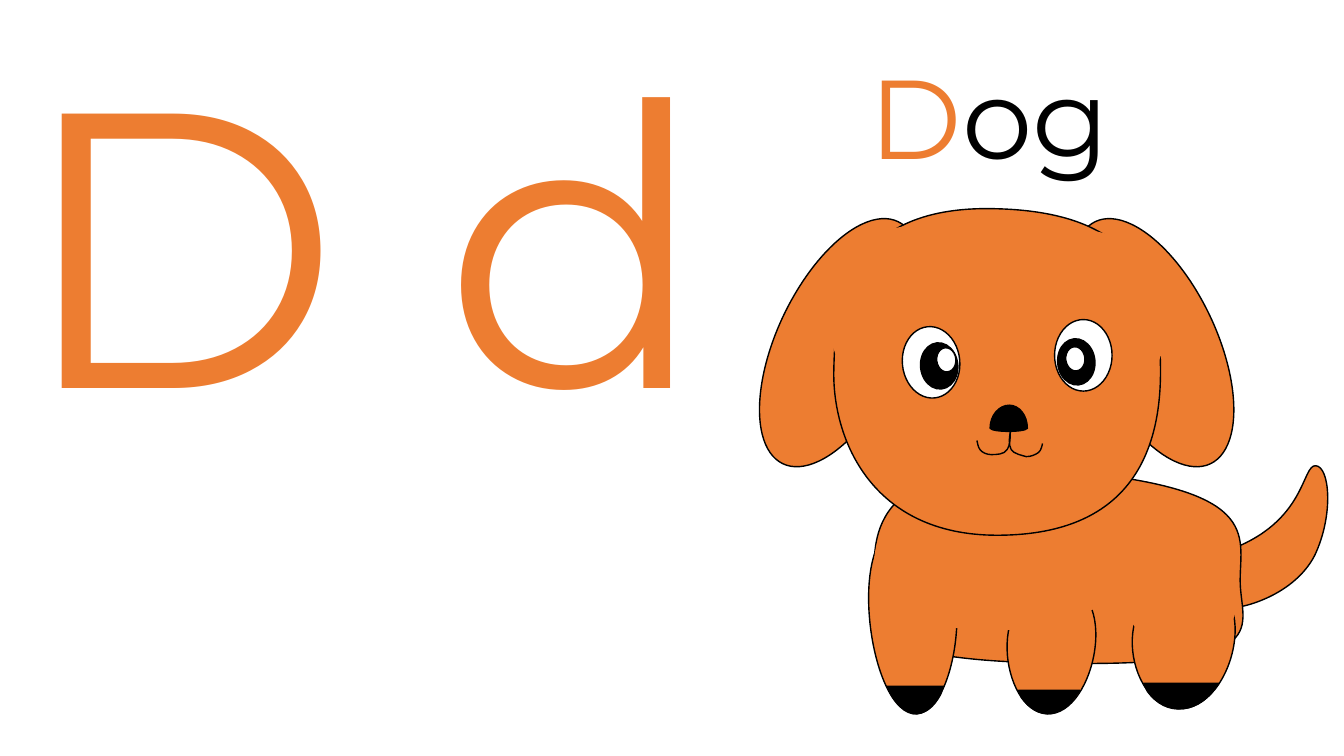
from dataclasses import dataclass

import pptx
import pptx.dml.color
import pptx.enum.shapes
import pptx.enum.text
import pptx.oxml
import pptx.oxml.ns
import pptx.util

PX = 9144
EXTENT_STEPS = 24


@dataclass(frozen=True)
class Theme:
    orange: str = "ED7D31"
    black: str = "000000"
    white: str = "FFFFFF"
    font: str = "Montserrat"
    letter_size: int = 280
    word_size: int = 80
    outline: int = 1


THEME = Theme()

TAIL = [(1218, 546), (1296, 518, 1291, 461, 1305, 462), (1319, 463, 1323, 511, 1304, 551),
        (1284, 590, 1233, 604, 1219, 603), (1205, 602, 1140, 573, 1218, 546)]
TORSO = [(867, 576), (868, 544, 852, 449, 1052, 467), (1253, 484, 1230, 530, 1230, 576),
         (1230, 622, 1270, 662, 1048, 658), (827, 655, 866, 608, 867, 576)]
HIND_LEG = [(1174, 703), (1119, 709, 1094, 586, 1174, 576), (1254, 566, 1229, 697, 1174, 703)]
MIDDLE_LEG = [(1043, 708), (995, 714, 974, 590, 1043, 581), (1112, 571, 1090, 702, 1043, 708)]
FRONT_LEG = [(905, 708), (953, 716, 974, 535, 905, 521), (837, 507, 858, 699, 905, 708)]
BELLY = [(1124, 563), (1142, 484, 899, 426, 870, 541), (841, 656, 1105, 642, 1124, 563)]
FACE = [(827, 369), (828, 303, 839, 205, 983, 207), (1126, 209, 1151, 279, 1151, 369),
        (1151, 458, 1113, 531, 989, 531), (864, 531, 826, 435, 827, 369)]
LEFT_BROW = [(964, 322), (991, 240, 872, 170, 832, 289), (791, 407, 937, 404, 964, 322)]
RIGHT_BROW = [(1015, 326), (988, 245, 1107, 174, 1147, 293), (1188, 412, 1042, 408, 1015, 326)]
HIP = [(1178, 646), (1237, 642, 1252, 547, 1165, 551), (1077, 556, 1118, 650, 1178, 646)]
MIDDLE_PAW = [(1010, 685), (1071, 685), (1065, 693), (1059, 701, 1051, 707, 1042, 708),
              (1031, 709, 1021, 703, 1013, 692), (1010, 685)]
HIND_PAW = [(1134, 678), (1209, 678), (1202, 687), (1194, 696, 1184, 702, 1174, 703),
            (1159, 705, 1147, 698, 1138, 686), (1134, 678)]
FRONT_PAW = [(936, 681), (880, 681), (885, 691), (891, 700, 898, 706, 906, 708),
             (917, 709, 926, 702, 933, 689), (936, 681)]
NOSE = [(1019, 425), (1019, 412, 1011, 402, 1001, 402), (991, 402, 982, 412, 982, 425),
        (985, 429, 1016, 429, 1019, 425)]
RIGHT_MOUTH = [(1003, 425), (1001, 433, 1000, 441, 1003, 446), (1005, 450, 1014, 452, 1018, 453),
               (1023, 453, 1027, 451, 1030, 449), (1033, 447, 1034, 440, 1034, 440)]
LEFT_MOUTH = [(1002, 426), (1002, 434, 1002, 442, 999, 446), (996, 451, 988, 451, 983, 451),
              (979, 451, 974, 449, 972, 446), (970, 444, 969, 437, 969, 437)]


def color(value):
    return pptx.dml.color.RGBColor.from_string(value)


def place(shape, left, top, width, height):
    shape.left, shape.top = left * PX, top * PX
    shape.width, shape.height = width * PX, height * PX


def paint(shape, fill, line):
    shape.shadow.inherit = False
    if fill:
        shape.fill.solid()
        shape.fill.fore_color.rgb = color(fill)
    else:
        shape.fill.background()
    shape.line.color.rgb = color(line)
    shape.line.width = pptx.util.Pt(THEME.outline)


def pairs(segment):
    return list(zip(segment[::2], segment[1::2]))


def extent(segments, axis):
    pen = segments[0]
    values = [pen[axis]]
    for segment in segments[1:]:
        knots = [pen, *pairs(segment)]
        if len(knots) == 4:
            for step in range(EXTENT_STEPS):
                t = step / EXTENT_STEPS
                weights = ((1 - t) ** 3, 3 * t * (1 - t) ** 2, 3 * t * t * (1 - t), t ** 3)
                values.append(sum(w * knot[axis] for w, knot in zip(weights, knots)))
        pen = knots[-1]
        values.append(pen[axis])
    return round(min(values)), round(max(values))


def bend(shape, segments):
    contour = shape._element.xpath(".//a:path")[0]
    lines = iter(contour.xpath("a:lnTo"))
    for segment in segments[1:]:
        first = next(lines)
        if len(segment) == 6:
            curve = pptx.oxml.parse_xml(f"<a:cubicBezTo {pptx.oxml.ns.nsdecls('a')}/>")
            first.addprevious(curve)
            for line in (first, next(lines), next(lines)):
                curve.append(line[0])
                contour.remove(line)
    (left, right), (top, bottom) = (extent(segments, axis) for axis in (0, 1))
    shift_x, shift_y = shape.left - left * PX, shape.top - top * PX
    for point in contour.xpath(".//a:pt"):
        point.set("x", str(int(point.get("x")) + shift_x))
        point.set("y", str(int(point.get("y")) + shift_y))
    place(shape, left, top, right - left, bottom - top)
    contour.set("w", str(shape.width))
    contour.set("h", str(shape.height))


def add_outline(dog, segments, fill=THEME.orange, line=THEME.black):
    builder = dog.shapes.build_freeform(segments[0][0] * PX, segments[0][1] * PX)
    knots = [(x * PX, y * PX) for segment in segments[1:] for x, y in pairs(segment)]
    builder.add_line_segments(knots, close=fill is not None)
    outline = builder.convert_to_shape()
    bend(outline, segments)
    paint(outline, fill, line)


def add_ellipse(dog, left, top, width, height, rotation=0, fill=THEME.orange):
    ellipse = dog.shapes.add_shape(pptx.enum.shapes.MSO_SHAPE.OVAL, 0, 0, PX, PX)
    place(ellipse, left, top, width, height)
    ellipse.rotation = rotation
    paint(ellipse, fill, THEME.black)


def write(shape, runs, size, wrap=True):
    frame = shape.text_frame
    frame.word_wrap = wrap
    frame.auto_size = pptx.enum.text.MSO_AUTO_SIZE.NONE
    frame.vertical_anchor = pptx.enum.text.MSO_ANCHOR.TOP
    paragraph = frame.paragraphs[0]
    paragraph.alignment = pptx.enum.text.PP_ALIGN.LEFT
    paragraph.line_spacing = 1.0
    paragraph.space_before = pptx.util.Pt(0)
    for text, ink in runs:
        run = paragraph.add_run()
        run.text = text
        run.font.name = THEME.font
        run.font.size = pptx.util.Pt(size)
        run.font.color.rgb = color(ink)


def draw_body(dog):
    add_outline(dog, TAIL)
    add_ellipse(dog, 1081, 207, 125, 266, rotation=-25.4)
    add_ellipse(dog, 771, 207, 125, 266, rotation=25.4)
    for part in (TORSO, HIND_LEG, MIDDLE_LEG, FRONT_LEG):
        add_outline(dog, part)
    add_outline(dog, BELLY, line=THEME.orange)
    add_outline(dog, FACE)
    for patch in (LEFT_BROW, RIGHT_BROW, HIP):
        add_outline(dog, patch, line=THEME.orange)
    for paw in (MIDDLE_PAW, HIND_PAW, FRONT_PAW):
        add_outline(dog, paw, fill=THEME.black)


def draw_face(dog):
    tilt = -5.7
    add_ellipse(dog, 1046, 317, 57, 71, fill=THEME.white)
    add_ellipse(dog, 895, 324, 57, 71, rotation=tilt, fill=THEME.white)
    for left, top in ((913, 340), (1049, 336)):
        add_ellipse(dog, left, top, 37, 46, rotation=tilt, fill=THEME.black)
    for left, top in ((1057, 344), (929, 345)):
        add_ellipse(dog, left, top, 19, 24, rotation=tilt, fill=THEME.white)
    add_outline(dog, NOSE, fill=THEME.black)
    for smile in (RIGHT_MOUTH, LEFT_MOUTH):
        add_outline(dog, smile, fill=None)


def main():
    deck = pptx.Presentation()
    deck.slide_width, deck.slide_height = pptx.util.Inches(13.33), pptx.util.Inches(7.5)
    slide = deck.slides.add_slide(deck.slide_layouts[5])
    letters = slide.shapes.title
    place(letters, 7, -8, 793, 498)
    write(letters, [("D d", THEME.orange)], THEME.letter_size)
    dog = slide.shapes.add_group_shape()
    draw_body(dog)
    draw_face(dog)
    word = dog.shapes.add_textbox(0, 0, PX, PX)
    place(word, 853, 42, 281, 145)
    write(word, [("D", THEME.orange), ("og", THEME.black)], THEME.word_size)
    dog_extents = dog._element
    dog_extents.recalculate_extents()
    deck.save("out.pptx")


if __name__ == "__main__":
    main()
